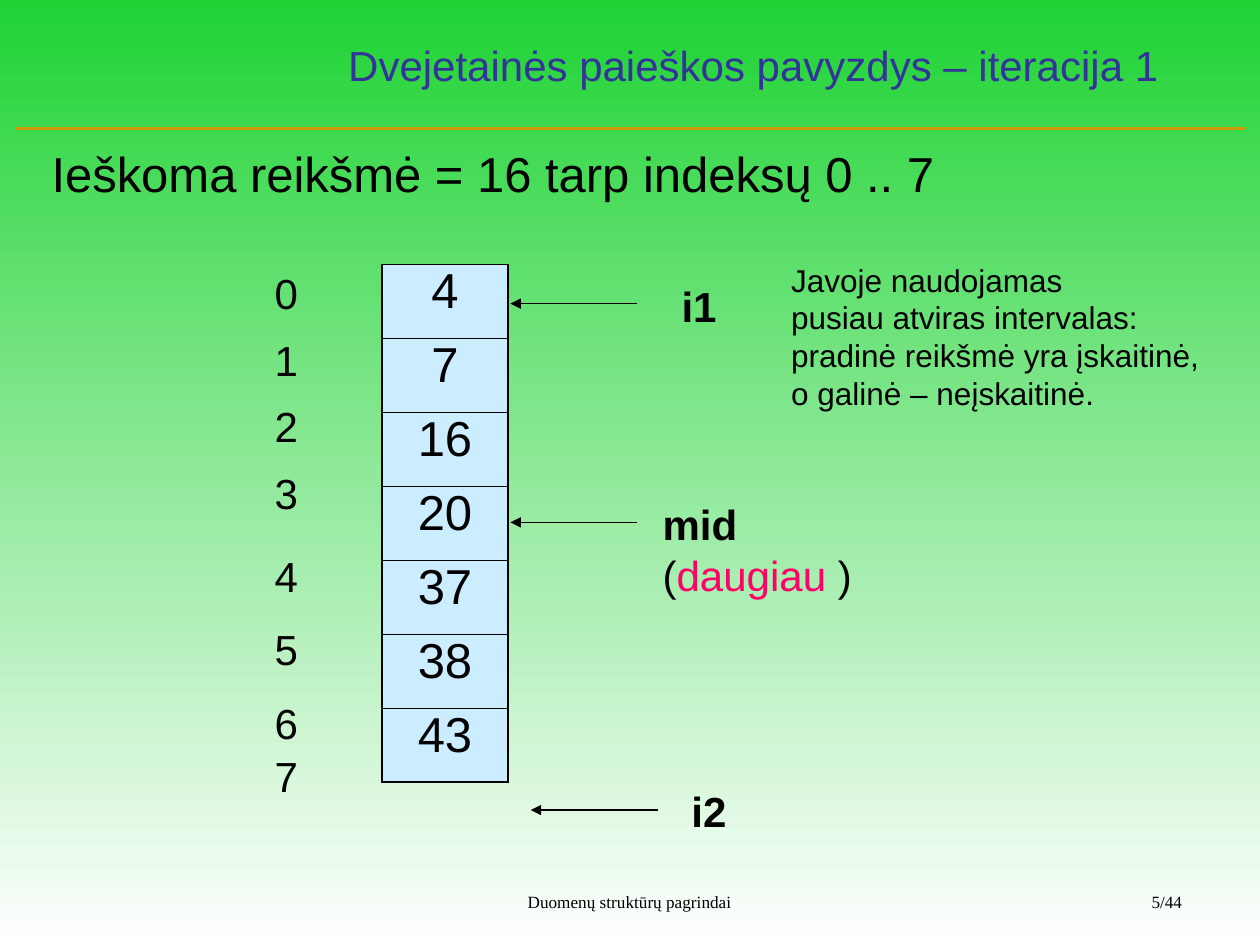
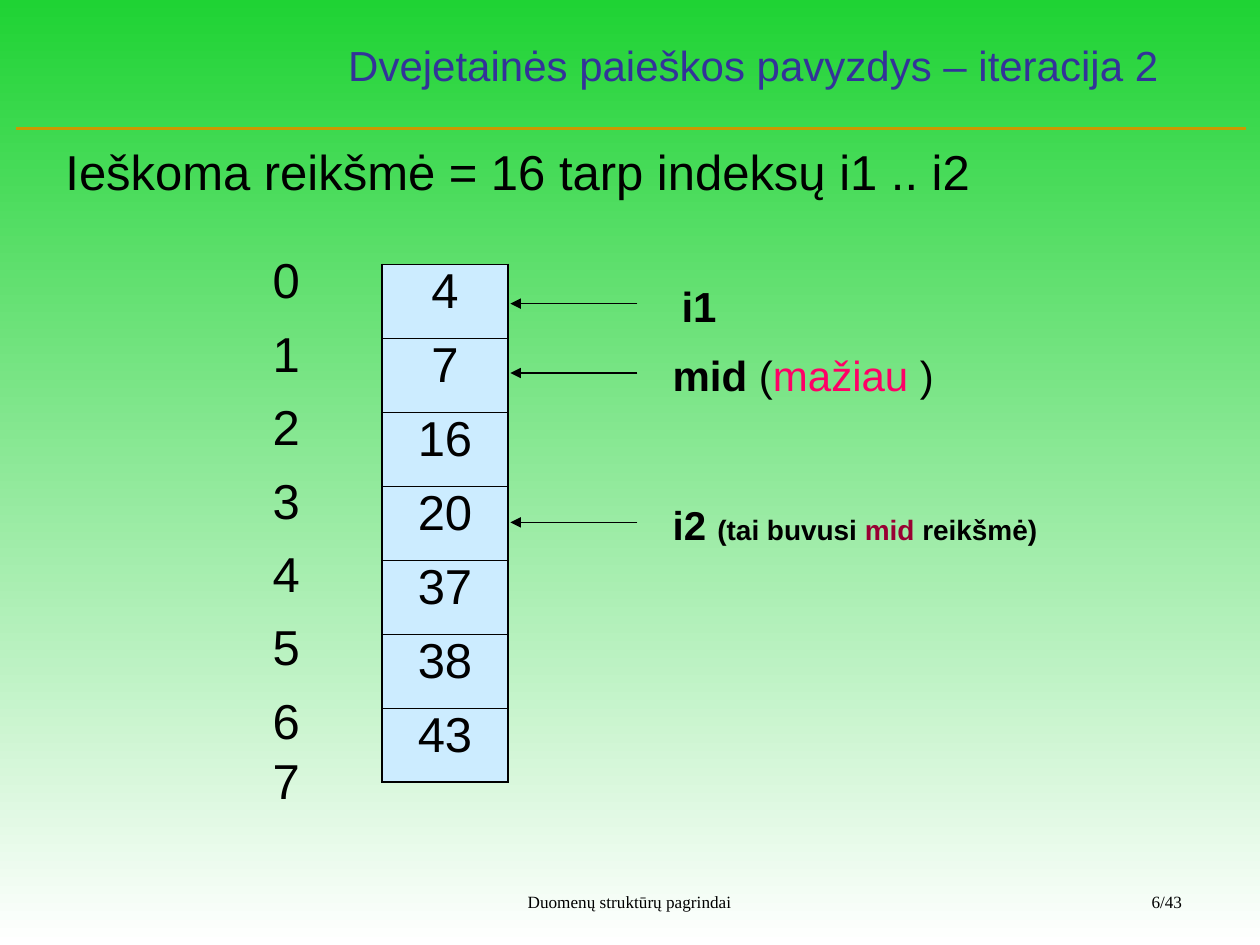
"""Build two slides that follow the iterations of a binary search."""
import dataclasses

import lxml.etree
import pptx
import pptx.dml.color
import pptx.enum.dml
import pptx.enum.shapes
import pptx.enum.text
import pptx.oxml.ns
import pptx.util

Cm = pptx.util.Cm
Pt = pptx.util.Pt
RGB = pptx.dml.color.RGBColor.from_string
qn = pptx.oxml.ns.qn
ALIGN = pptx.enum.text.PP_ALIGN


@dataclasses.dataclass(frozen=True)
class Theme:
    sky: str = "1FD334"
    ground: str = "FFFFFF"
    title: str = "333399"
    rule: str = "CC9900"
    ink: str = "000000"
    cell: str = "CCECFF"
    verdict: str = "FF0066"
    former: str = "990033"
    font: str = "Arial"
    footer_font: str = "Times New Roman"
    large: float = 28
    medium: float = 24
    label: float = 23
    note: float = 18
    remark: float = 16
    footer: float = 9.8
    outer: float = 1.08
    inner: float = 0.45


theme = Theme()


def write(frame, text, size=theme.medium, color=theme.ink, font=theme.font,
          bold=False, align=None, spacing=None, before=None, join=False):
    for number, line in enumerate(text.split("\n")):
        first = number == 0 and not frame.paragraphs[0].runs
        para = frame.paragraphs[-1] if join or first else frame.add_paragraph()
        if not join:
            para.alignment = align
            para.line_spacing = spacing
            para.space_before = before
        for piece_number, piece in enumerate(line.split("\v")):
            if piece_number:
                para.add_line_break()
            span = para.add_run()
            span.text = piece
            span.font.size = Pt(size)
            span.font.name = font
            span.font.bold = bold
            span.font.color.rgb = RGB(color)


def draw_line(page, start, end, y, color=theme.ink, width=0.75, arrow=True):
    line = page.shapes.add_connector(
        pptx.enum.shapes.MSO_CONNECTOR.STRAIGHT, Cm(start), Cm(y), Cm(end), Cm(y))
    line.line.color.rgb = RGB(color)
    line.line.width = Pt(width)
    properties = line._element.spPr
    if arrow:
        outline = properties.find(qn("a:ln"))
        lxml.etree.SubElement(outline, qn("a:tailEnd"), type="triangle")
    lxml.etree.SubElement(properties, qn("a:effectLst"))


VALUES = ["4", "7", "16", "20", "37", "38", "43"]
INDEXES = ["0", "1", "2", "3", "4", "5", "6\n7"]
NO_STYLE = "{2D5ABB26-0587-4C30-8999-92F81FD0307C}"
strong = {"bold": True}
remark = {"bold": True, "size": theme.remark}
first_bound = (13.49, 5.54, 1.22, 1.27, False, [("i1", strong)])

iterations = [
    {
        "title": "Dvejetainės paieškos pavyzdys – iteracija 1",
        "number": "5/44",
        "index_top": 5.46,
        "index_size": theme.medium,
        "index_rows": [1.34, 1.34, 1.34, 1.68, 1.48, 1.48, 2.87],
        "arrows": [(12.85, 6.12), (12.85, 10.53), (13.26, 16.33)],
        "boxes": [
            first_bound,
            (13.11, 9.93, 6.05, 1.27, False, [
                ("mid", strong), (" (", {}),
                ("daugiau", {"color": theme.verdict}), (" )", {})]),
            (13.69, 15.72, 1.22, 1.27, False, [("i2", strong)]),
            (0.79, 2.77, 19.81, 1.45, True, [
                ("Ieškoma reikšmė = 16 tarp indeksų 0 .. 7",
                 {"size": theme.large, "before": Pt(17.5)})]),
            (15.7, 5.13, 8.79, 3.3, True, [
                ("Javoje naudojamas \vpusiau atviras intervalas: \v"
                 "pradinė reikšmė yra įskaitinė, o galinė – neįskaitinė.",
                 {"size": theme.note})]),
        ],
    },
    {
        "title": "Dvejetainės paieškos pavyzdys – iteracija 2",
        "number": "6/43",
        "index_top": 5.13,
        "index_size": theme.large,
        "index_rows": [1.48] * 6 + [2.87],
        "arrows": [(12.85, 6.12), (12.85, 7.52), (12.85, 10.53)],
        "boxes": [
            first_bound,
            (13.31, 6.93, 5.77, 1.27, False, [
                ("mid", strong), (" (", {}),
                ("mažiau", {"color": theme.verdict}), (" )", {})]),
            (1.07, 2.72, 19.81, 1.45, True, [
                ("Ieškoma reikšmė = 16 tarp indeksų i1 .. i2",
                 {"size": theme.large, "before": Pt(17.5)})]),
            (13.31, 9.96, 8, 1.24, True, [
                ("i2 ", {"bold": True, "size": theme.label}),
                ("(tai buvusi ", remark),
                ("mid ", {**remark, "color": theme.former}),
                ("reikšmė)", remark)]),
        ],
    },
]

deck = pptx.Presentation()
deck.slide_width = Cm(25.4)
deck.slide_height = Cm(19.05)

for iteration in iterations:
    page = deck.slides.add_slide(deck.slide_layouts[6])
    backdrop = page.background.fill
    backdrop.gradient()
    backdrop.gradient_angle = 270
    for stop, color in zip(backdrop.gradient_stops, (theme.sky, theme.ground)):
        stop.color.rgb = RGB(color)

    footer = {"size": theme.footer, "font": theme.footer_font, "spacing": 0.8}
    frame_boxes = [
        (5.89, 0.53, 18.59, 1.55, True, [
            (iteration["title"], {"color": theme.title, "align": ALIGN.CENTER})]),
        (8.69, 17.93, 8, 0.69, True, [
            ("Duomenų struktūrų pagrindai", {**footer, "align": ALIGN.CENTER})]),
        (18.21, 17.93, 5.87, 0.69, True, [
            (iteration["number"], {**footer, "align": ALIGN.RIGHT})]),
    ]
    for left, top, width, height, wrap, spans in frame_boxes + iteration["boxes"]:
        box = page.shapes.add_textbox(Cm(left), Cm(top), Cm(width), Cm(height))
        box.text_frame.word_wrap = wrap
        if top == 0.53:
            box.text_frame.vertical_anchor = pptx.enum.text.MSO_ANCHOR.MIDDLE
        for position, (text, style) in enumerate(spans):
            write(box.text_frame, text, join=position > 0, **style)

    draw_line(page, 0.33, 25.12, 2.59, color=theme.rule, width=1.5, arrow=False)

    columns = [
        (7.7, 5.33, [1.49] * len(VALUES), VALUES, theme.large, True),
        (4.5, iteration["index_top"], iteration["index_rows"], INDEXES,
         iteration["index_size"], False),
    ]
    for left, top, heights, texts, size, boxed in columns:
        holder = page.shapes.add_table(
            len(texts), 1, Cm(left), Cm(top), Cm(2.54), Cm(sum(heights)))
        table = holder.table
        table.first_row = table.horz_banding = False
        table._tbl.tblPr.find(qn("a:tableStyleId")).text = NO_STYLE
        for row, (height, text) in enumerate(zip(heights, texts)):
            table.rows[row].height = Cm(height)
            cell = table.cell(row, 0)
            write(cell.text_frame, text, size=size, align=ALIGN.CENTER,
                  spacing=0.87, before=Pt(7))
            if not boxed:
                cell.fill.background()
                continue
            cell.fill.solid()
            cell.fill.fore_color.rgb = RGB(theme.cell)
            borders = {
                "a:lnL": theme.outer,
                "a:lnR": theme.outer,
                "a:lnT": theme.outer if row == 0 else theme.inner,
                "a:lnB": theme.outer if row == len(texts) - 1 else theme.inner,
            }
            properties = cell._tc.get_or_add_tcPr()
            for place, (side, weight) in enumerate(borders.items()):
                border = lxml.etree.Element(qn(side), w=str(Pt(weight)))
                paint = lxml.etree.SubElement(border, qn("a:solidFill"))
                lxml.etree.SubElement(paint, qn("a:srgbClr"), val=theme.ink)
                properties.insert(place, border)

    for start, y in iteration["arrows"]:
        draw_line(page, start, start - 2.56, y)

deck.save("out.pptx")
